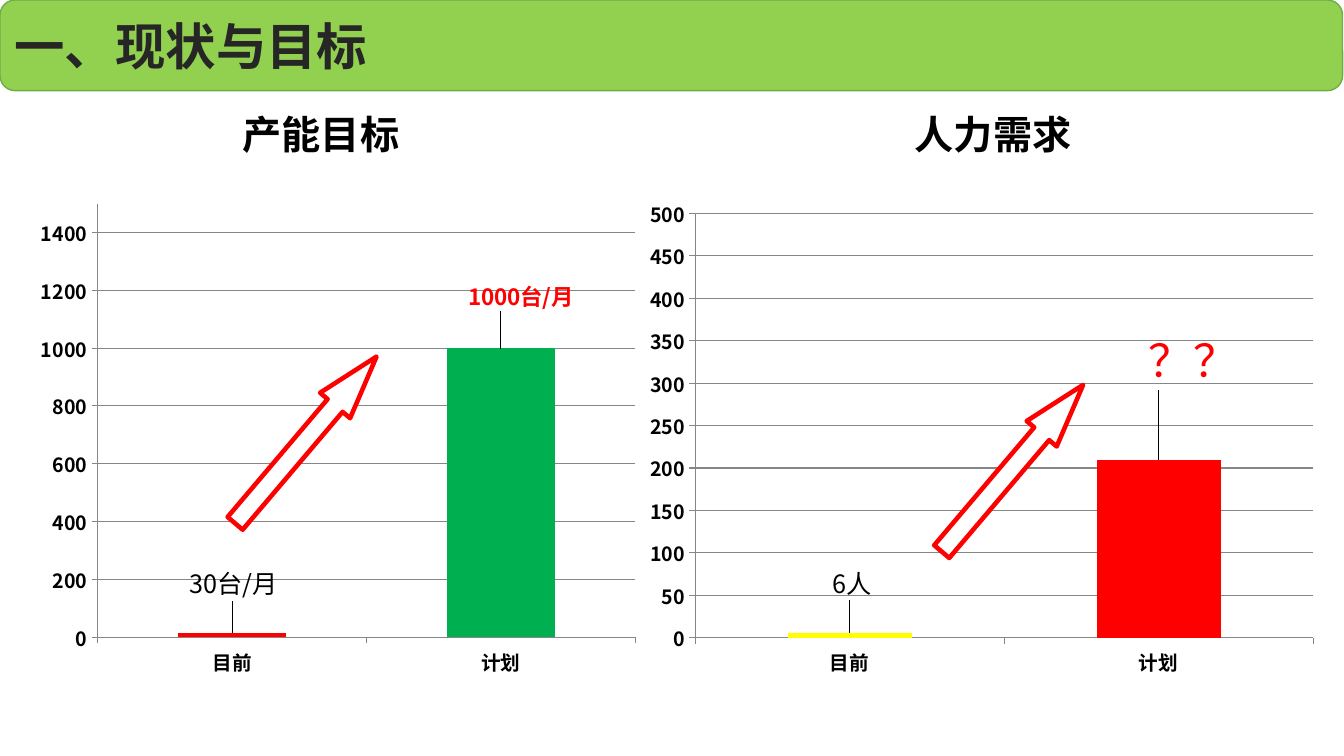
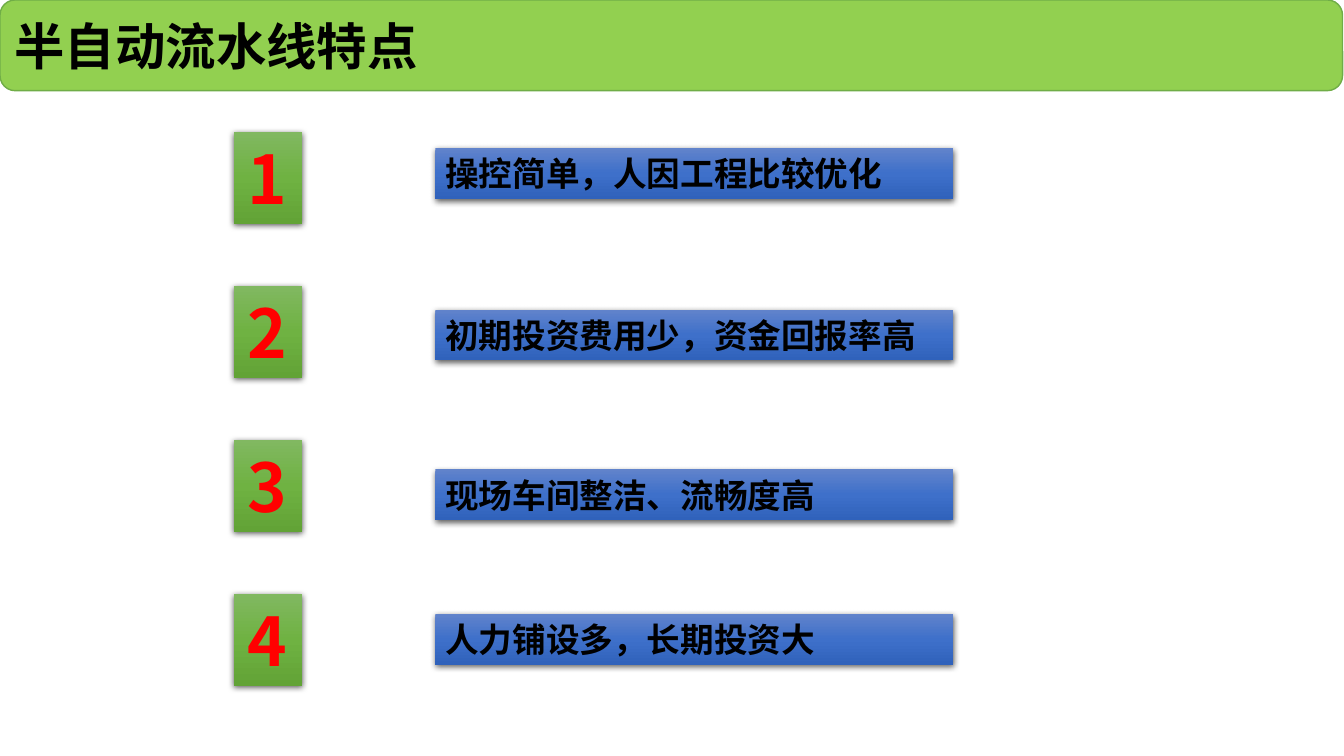
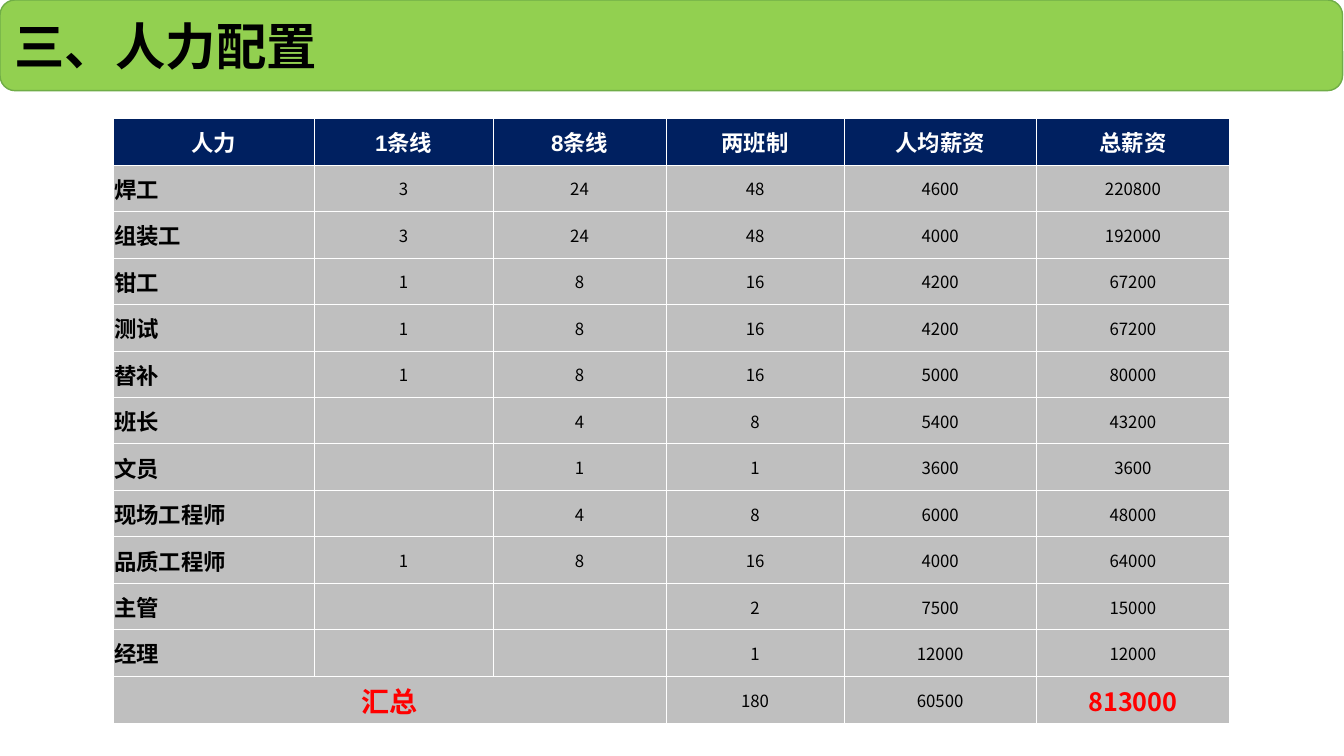
from dataclasses import dataclass

from pptx import Presentation
from pptx.chart.data import CategoryChartData
from pptx.dml.color import RGBColor
from pptx.enum.chart import XL_CHART_TYPE, XL_LABEL_POSITION, XL_TICK_MARK
from pptx.enum.shapes import MSO_SHAPE
from pptx.enum.text import MSO_ANCHOR, MSO_AUTO_SIZE, PP_ALIGN
from pptx.oxml import parse_xml
from pptx.oxml.ns import nsdecls, qn
from pptx.util import Pt

COLUMN = XL_CHART_TYPE.COLUMN_CLUSTERED
ABOVE = XL_LABEL_POSITION.OUTSIDE_END
OUT = XL_TICK_MARK.OUTSIDE
ARROW, RECT = MSO_SHAPE.RIGHT_ARROW, MSO_SHAPE.RECTANGLE
ROUND = MSO_SHAPE.ROUNDED_RECTANGLE
MIDDLE = MSO_ANCHOR.MIDDLE
FIXED = MSO_AUTO_SIZE.NONE
LEFT, CENTER = PP_ALIGN.LEFT, PP_ALIGN.CENTER


@dataclass(frozen=True)
class Theme:
    band: str = "92D050"
    edge: str = "70AD47"
    ink: str = "000000"
    soft: str = "262626"
    red: str = "FF0000"
    green: str = "00B050"
    yellow: str = "FFFF00"
    blue: str = "5B9BD5"
    white: str = "FFFFFF"
    navy: str = "002060"
    gray: str = "BFBFBF"
    grid: str = "868686"
    leaf: tuple = ("81B861", "6FB242", "62A336")
    sea: tuple = ("6183CB", "3E70CA", "3062BB")
    latin: str = "Calibri"
    head: str = "Arial"
    han: str = "Noto Sans CJK SC"
    title: int = 36
    topic: int = 28
    item: int = 24
    digit: int = 48
    axis: int = 14
    label: int = 16
    body: int = 12
    total: int = 20
    sum: int = 18
    mark: int = 32


def rgb(code):
    return RGBColor.from_string(code)


def box(*sides):
    return [Pt(side) for side in sides]


def layout(x, y, size=None):
    tags = {"xMode": "edge", "yMode": "edge"} if size else {}
    tags.update(x=x / 100, y=y / 100)
    if size:
        tags.update(w=size[0] / 100, h=size[1] / 100)
    inner = '<c:layoutTarget val="inner"/>' if size else ""
    inner += "".join(f'<c:{tag} val="{val}"/>' for tag, val in tags.items())
    return parse_xml(f'<c:layout {nsdecls("c")}><c:manualLayout>{inner}'
                     '</c:manualLayout></c:layout>')


class Deck:
    def __init__(self, theme):
        self.theme = theme
        self.show = Presentation()
        self.show.slide_width, self.show.slide_height = box(960, 540)

    def font(self, font, size, color, face=None, bold=True):
        font.size, font.bold = Pt(size), bold
        font.name = face or self.theme.han
        font.color.rgb = rgb(color)
        font._rPr.append(parse_xml(
            f'<a:ea {nsdecls("a")} typeface="{self.theme.han}"/>'))

    def text(self, frame, words, size, color, face=None, bold=True, align=LEFT):
        frame.text = words
        para = frame.paragraphs[0]
        para.alignment = align
        for run in para.runs:
            self.font(run.font, size, color, face, bold)

    def block(self, shape, words, size, color, face=None, align=LEFT):
        frame = shape.text_frame
        frame.word_wrap, frame.auto_size = True, FIXED
        frame.vertical_anchor = MIDDLE
        self.text(frame, words, size, color, face, align=align)

    def slide(self, words, color):
        look = self.theme
        self.page = self.show.slides.add_slide(self.show.slide_layouts[5])
        shapes = self.page.shapes
        title = shapes.title
        band = shapes.add_shape(ROUND, *box(0, 0, 959, 64.8))
        band.shadow.inherit = False
        band.fill.solid()
        band.fill.fore_color.rgb = rgb(look.band)
        band.line.color.rgb = rgb(look.edge)
        band.line.width = Pt(1)
        band._element.addnext(title._element)
        title.left, title.top, title.width, title.height = box(3.2, 0, 952.6, 64.8)
        self.block(title, words, look.title, color, look.latin)

    def topic(self, words, left):
        shape = self.page.shapes.add_textbox(*box(left, 75.2, 150, 41))
        self.block(shape, words, self.theme.topic, self.theme.ink)

    def arrow(self, left, top):
        shape = self.page.shapes.add_shape(ARROW, *box(left, top, 156.2, 28.1))
        shape.rotation = 310.3
        shape.adjustments[0], shape.adjustments[1] = 0.5, 1.63
        shape.shadow.inherit = False
        shape.fill.solid()
        shape.fill.fore_color.rgb = rgb(self.theme.white)
        shape.line.color.rgb = rgb(self.theme.red)
        shape.line.width = Pt(3.25)

    def tile(self, place, shades, words, size, color, face=None, align=LEFT):
        shape = self.page.shapes.add_shape(RECT, *box(*place))
        stops = "".join(
            f'<a:gs pos="{pos * 50000}"><a:srgbClr val="{shade}"/></a:gs>'
            for pos, shade in enumerate(shades))
        props = shape._element.spPr
        props.append(parse_xml(
            f'<a:gradFill {nsdecls("a")} rotWithShape="1"><a:gsLst>{stops}'
            '</a:gsLst><a:lin ang="5400000" scaled="0"/></a:gradFill>'))
        shape.line.fill.background()
        props.append(parse_xml(
            f'<a:effectLst {nsdecls("a")}><a:outerShdw blurRad="{Pt(4.5)}" '
            f'dist="{Pt(1.5)}" dir="5400000" algn="ctr" rotWithShape="0">'
            '<a:srgbClr val="000000"><a:alpha val="63000"/></a:srgbClr>'
            '</a:outerShdw></a:effectLst>'))
        frame = shape.text_frame
        frame.margin_top = frame.margin_bottom = 0
        self.block(shape, words, size, color, face, align)

    def chart(self, place, area, top, step, bars):
        look = self.theme
        data = CategoryChartData()
        data.categories = ["目前", "计划"]
        data.add_series("Series 1", [bar[0] for bar in bars])
        chart = self.page.shapes.add_chart(COLUMN, *box(*place), data).chart
        chart.has_title = chart.has_legend = False
        chart.font.size, chart.font.name = Pt(10), look.latin
        chart.font.color.rgb = rgb(look.ink)
        plot = chart.plots[0]
        plot.gap_width, plot.vary_by_categories = 150, False
        zone = chart._chartSpace.chart.plotArea
        for old in zone.findall(qn("c:layout")):
            zone.remove(old)
        zone.insert(0, layout(*area[:2], area[2:]))
        scale = chart.value_axis
        scale.minimum_scale, scale.maximum_scale = 0, top
        scale.major_unit = step
        scale.has_major_gridlines = True
        for axis in (chart.category_axis, scale):
            axis.major_tick_mark = OUT
            self.font(axis.tick_labels.font, look.axis, look.ink)
        for line in (chart.category_axis.format.line, scale.format.line,
                     scale.major_gridlines.format.line):
            line.color.rgb, line.width = rgb(look.grid), Pt(0.75)
        series = plot.series[0]
        series.format.fill.solid()
        series.format.fill.fore_color.rgb = rgb(look.blue)
        for rank, (_, fill, words, size, color, bold, shift) in enumerate(bars):
            point = series.points[rank]
            point.format.fill.solid()
            point.format.fill.fore_color.rgb = rgb(fill)
            label = point.data_label
            self.text(label.text_frame, words, size, color, bold=bold, align=CENTER)
            label.position = ABOVE
            label._get_or_add_dLbl().insert(1, layout(*shift))
        self.unlead(series.data_labels._element)

    def unlead(self, labels):
        for old in labels.findall(qn("c:showLeaderLines")):
            labels.remove(old)
        labels.append(parse_xml(
            f'<c:extLst {nsdecls("c")}>'
            '<c:ext uri="{CE6537A1-D6FC-4f65-9D91-7224C49458BB}" '
            'xmlns:c15="http://schemas.microsoft.com/office/drawing/2012/chart">'
            '<c15:showLeaderLines val="0"/></c:ext></c:extLst>'))

    def cell(self, cell, words, fill, *style, **more):
        cell.fill.solid()
        cell.fill.fore_color.rgb = rgb(fill)
        cell.vertical_anchor = MIDDLE
        cell.margin_left = cell.margin_right = cell.margin_top = Pt(0.5)
        cell.margin_bottom = 0
        props = cell._tc.get_or_add_tcPr()
        for rank, side in enumerate("LRTB"):
            props.insert(rank, parse_xml(
                f'<a:ln{side} {nsdecls("a")} w="{Pt(0.5)}"><a:solidFill>'
                f'<a:srgbClr val="{self.theme.white}"/></a:solidFill></a:ln{side}>'))
        self.text(cell.text_frame, words, *style, **more)

    def table(self, place, widths, head, rows, total):
        look = self.theme
        lines = [head, *rows, total]
        size = len(lines), len(widths)
        grid = self.page.shapes.add_table(*size, *box(*place)).table
        for col, width in zip(grid.columns, widths):
            col.width = Pt(width)
        last = len(lines) - 1
        for row in grid.rows:
            row.height = Pt(33.2)
        grid.rows[last].height = Pt(place[3] - 33.2 * last)
        grid.cell(last, 0).merge(grid.cell(last, 2))
        for y, line in enumerate(lines):
            for x, words in enumerate(line):
                fill, align = look.gray, CENTER
                style = look.body, look.ink, look.han, False
                if y == 0:
                    fill = look.navy
                    style = look.label, look.white, look.head
                elif y == last and x == 0:
                    style = look.total, look.red
                elif y == last and x == len(line) - 1:
                    style = look.sum, look.red
                elif x == 0:
                    style, align = (look.label, look.ink), LEFT
                self.cell(grid.cell(y, x), words, fill, *style, align=align)


look = Theme()
deck = Deck(look)

deck.slide("一、现状与目标", look.soft)
deck.chart((20.2, 138.2, 442.1, 351.4), (11.2, 2.1, 86.9, 88.1), 1500, 200, [
    (15, look.red, "30台/月", look.sum, look.ink, False, (0.3, -5.6)),
    (1000, look.green, "1000台/月", look.label, look.red, True, (3.2, -6.6)),
])
deck.topic("产能目标", 166.3)
deck.topic("人力需求", 646.4)
deck.chart((454.3, 135.4, 493.2, 355), (8.6, 4.8, 89.5, 85.4), 500, 50, [
    (6, look.yellow, "6人", look.sum, look.ink, False, (0.3, -5.6)),
    (210, look.red, "？？", look.mark, look.red, False, (5.1, -13.2)),
])
deck.arrow(645.1, 320.4)
deck.arrow(140.4, 300.2)

deck.slide("半自动流水线特点", look.ink)
traits = [
    (105.8, "操控简单，人因工程比较优化"),
    (221.2, "初期投资费用少，资金回报率高"),
    (335.3, "现场车间整洁、流畅度高"),
    (438.5, "人力铺设多，长期投资大"),
]
for rank, (top, words) in enumerate(traits):
    deck.tile((311, top, 370, 36.2), look.sea, words, look.item, look.ink,
              look.latin)
    deck.tile((166.8, 94.2 + 110 * rank, 49, 65.5), look.leaf, str(rank + 1),
              look.digit, look.red, align=CENTER)

deck.slide("三、人力配置", look.ink)
deck.table(
    (81, 84.6, 797.4, 432.4),
    (143.4, 127.8, 123.6, 127.2, 137.2, 138.2),
    ("人力", "1条线", "8条线", "两班制", "人均薪资", "总薪资"),
    [
        ("焊工", "3", "24", "48", "4600", "220800"),
        ("组装工", "3", "24", "48", "4000", "192000"),
        ("钳工", "1", "8", "16", "4200", "67200"),
        ("测试", "1", "8", "16", "4200", "67200"),
        ("替补", "1", "8", "16", "5000", "80000"),
        ("班长", "", "4", "8", "5400", "43200"),
        ("文员", "", "1", "1", "3600", "3600"),
        ("现场工程师", "", "4", "8", "6000", "48000"),
        ("品质工程师", "1", "8", "16", "4000", "64000"),
        ("主管", "", "", "2", "7500", "15000"),
        ("经理", "", "", "1", "12000", "12000"),
    ],
    ("汇总", "", "", "180", "60500", "813000"),
)

deck.show.save("out.pptx")
